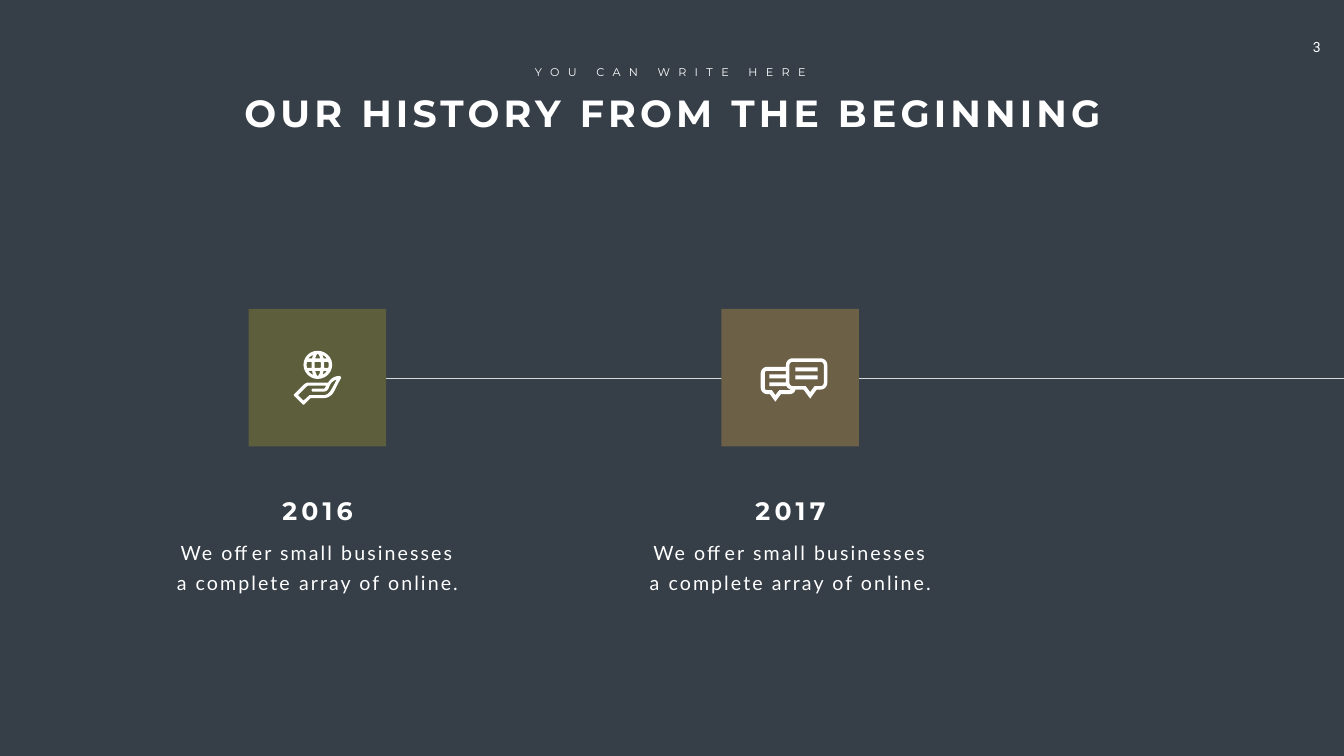
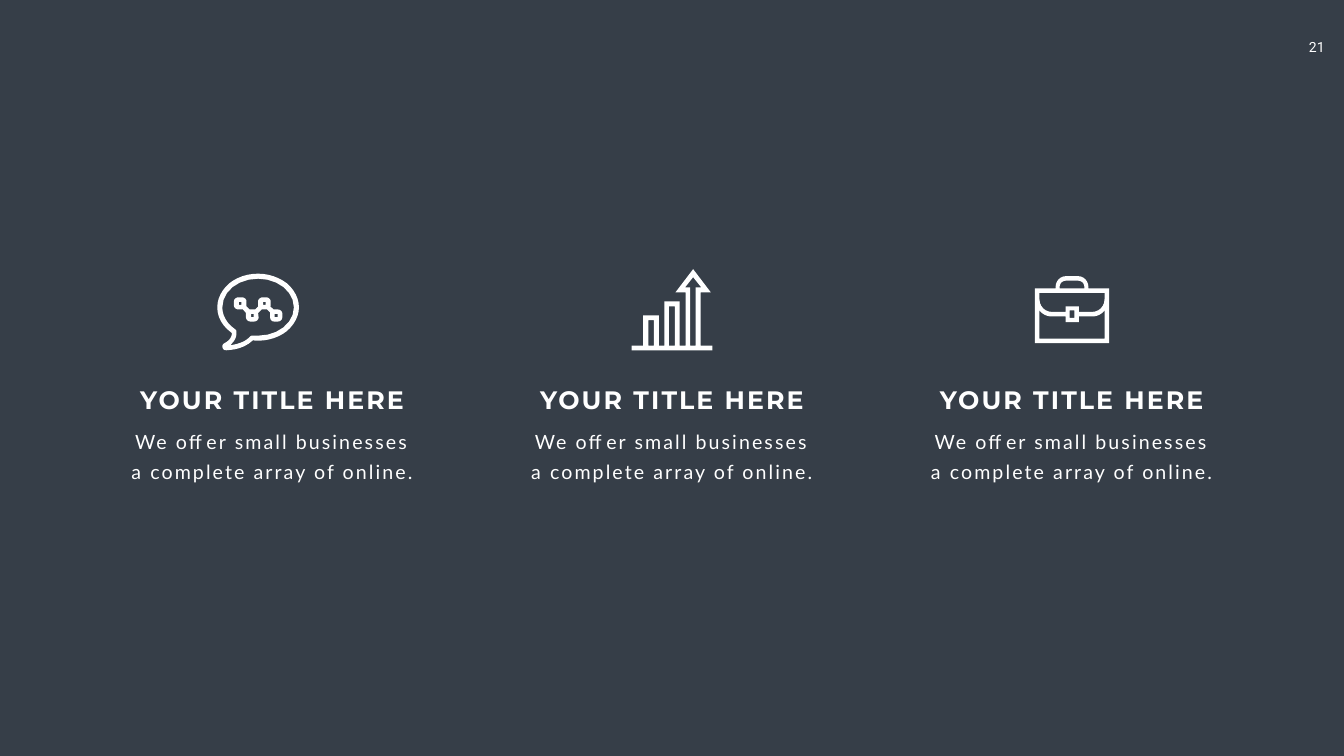
from lxml import etree
from pptx import Presentation
from pptx.dml.color import RGBColor
from pptx.enum.shapes import MSO_CONNECTOR, MSO_SHAPE
from pptx.enum.text import PP_ALIGN
from pptx.oxml.ns import qn
from pptx.util import Inches, Pt

RECT = MSO_SHAPE.RECTANGLE
STRAIGHT = MSO_CONNECTOR.STRAIGHT
CENTER = PP_ALIGN.CENTER

SLATE = RGBColor(0x36, 0x3E, 0x48)
WHITE = RGBColor(0xFF, 0xFF, 0xFF)
GREY = RGBColor(0xD9, 0xD9, 0xD9)
BROWN = RGBColor(0x6C, 0x60, 0x46)
OLIVE = RGBColor(0x5D, 0x5E, 0x3C)

BODY = "We offer small businesses a complete array of online."
CURVE_STEPS = 6

# Icon outlines in hundredths of an inch; "/" parts contours and
# "C" starts a cubic curve: two control points and an end point.
CHAT = """
1634,760 C 1634,763 1631,766 1628,766 1616,766 1607,778 1598,766 1572,766
C 1569,766 1566,763 1566,760 1566,724 C 1566,721 1569,718 1572,718 1628,718
C 1631,718 1634,721 1634,724 /
1546,774 1538,784 1531,774 1521,774 C 1519,774 1517,772 1517,770 1517,740
C 1517,738 1519,736 1521,736 1559,736 1559,743 1526,743 1526,751 1559,751
1559,759 1526,759 1526,766 1560,766 C 1562,770 1565,772 1569,773 1567,774 /
1628,711 1572,711 C 1565,711 1559,717 1559,724 1559,728 1521,728
C 1515,728 1509,734 1509,740 1509,770 C 1509,776 1515,782 1521,782 1527,782
1538,797 1549,782 1567,782 C 1572,782 1577,778 1578,773 1594,773 1607,791
1620,773 1628,773 C 1635,773 1641,767 1641,760 1641,724
C 1641,717 1635,711 1628,711"""
HAND = """
656,775 C 653,780 648,784 642,784 615,784 C 614,784 613,784 613,785 602,795
591,784 607,768 C 609,766 611,765 614,765 647,765 645,769
C 644,771 643,771 642,771 621,771 C 619,771 618,773 618,774
C 618,776 619,777 621,777 642,777 C 646,777 649,775 651,772 655,763
C 658,758 662,755 668,753 C 663,763 656,775 656,775 /
676,748 C 675,747 674,746 673,746 C 664,746 656,751 651,759 614,759
C 609,759 606,760 603,763 584,782 C 583,782 583,783 583,784
C 583,785 583,786 584,786 600,802 C 600,802 601,803 602,803
C 603,803 604,802 604,802 616,790 642,790 C 650,790 658,785 662,778
C 662,778 671,760 676,751 C 677,750 677,749 676,748"""
GLOBE = """
621,704 C 620,707 620,709 619,711 612,711 C 614,708 618,706 621,704 /
648,711 642,711 C 641,709 641,707 639,704 C 643,706 646,708 648,711 /
639,744 C 641,741 641,739 642,736 648,736 C 646,740 643,742 639,744 /
612,736 619,736 C 620,739 620,741 621,744 C 618,742 614,740 612,736 /
618,730 609,730 C 609,728 608,726 608,724 C 608,722 609,720 609,718 618,718 /
630,746 C 630,746 628,745 627,741 625,736 635,736 634,741
C 632,745 631,746 630,746 /
652,724 C 652,726 652,728 651,730 643,730 643,718 651,718
C 652,720 652,722 652,724 /
636,718 C 637,722 637,726 636,730 624,730 624,718 /
630,702 C 631,702 632,703 634,707 635,711 625,711 627,707
C 628,703 630,702 630,702 /
602,724 C 602,739 615,752 630,752 C 646,752 659,739 659,724
C 659,708 645,696 630,696 C 615,696 602,708 602,724"""
BUBBLE = """
512,666 C 508,666 505,666 501,666 C 499,666 498,666 496,668
C 490,674 482,679 474,681 C 469,683 463,684 457,685 C 459,683 461,680 463,678
C 467,673 469,667 469,662 469,658 C 469,656 468,654 466,653
C 450,642 441,626 441,610 C 441,578 472,553 512,553 C 551,553 583,578 583,610
C 583,641 551,666 512,666 /
569,562 C 553,550 533,543 512,543 C 490,543 470,550 455,562
C 440,575 431,592 431,610 C 431,629 441,647 459,660 C 460,661 460,661 460,662
C 460,667 456,676 445,681 C 443,682 441,685 441,687 C 441,689 442,691 443,693
C 445,694 446,695 449,695 C 465,694 485,691 502,675 C 505,676 508,676 512,676
C 533,676 554,669 569,657 C 584,644 593,627 593,610 C 593,592 584,575 569,562"""
TREND = """
551,629 545,629 545,623 551,623 / 503,629 498,629 498,623 503,623 /
474,599 479,599 479,605 474,605 / 522,599 527,599 527,605 522,605 /
551,614 543,614 536,608 537,606 537,598 C 537,594 533,590 528,590 521,590
C 516,590 512,594 512,598 512,608 506,614 495,614 489,608 489,598
C 489,594 485,590 480,590 473,590 C 468,590 464,594 464,598 464,606
C 464,610 468,614 473,614 482,614 488,621 488,630 C 488,634 492,638 497,638
504,638 C 509,638 513,634 513,630 512,621 519,614 530,614 536,620 536,630
C 536,634 539,638 544,638 551,638 C 556,638 560,634 560,630 560,622
C 560,618 556,614 551,614"""
BRIEFCASE = """
2166,619 2140,619 2140,608 2114,608 2114,619 2087,619
C 2073,619 2062,608 2062,594 2062,581 2191,581 2191,594
C 2191,608 2180,619 2166,619 /
2122,616 2131,616 2131,631 2122,631 /
2191,672 2062,672 2062,616 C 2068,624 2077,628 2087,628 2114,628 2114,639
2140,639 2140,628 2166,628 C 2176,628 2185,624 2191,616 /
2102,569 C 2102,562 2108,557 2114,557 2139,557 C 2145,557 2151,562 2151,569
2151,572 2102,572 /
2159,572 2159,569 C 2159,558 2150,548 2139,548 2114,548
C 2103,548 2094,558 2094,569 2094,572 2053,572 2053,681 2200,681 2200,572"""
GROWTH = """
1286,635 1297,635 1297,686 1286,686 / 1327,608 1339,608 1339,686 1327,686 /
1359,570 1375,550 1391,570 1380,570 1380,686 1369,686 1369,570 /
1390,686 1390,580 1410,580 1375,534 1340,580 1360,580 1360,686 1348,686
1348,598 1318,598 1318,686 1307,686 1307,626 1276,626 1276,686 1253,686
1253,695 1413,695 1413,686"""


def add_text(s, box, text, size, font="Montserrat", bold=False, spacing=0,
             inset=(0.1, 0.05, 0.1, 0.05), wrap=True, leading=None):
    """Add centred white text; spacing is the tracking in points."""
    tf = s.shapes.add_textbox(*map(Inches, box)).text_frame
    tf.word_wrap = wrap
    (tf.margin_left, tf.margin_top,
     tf.margin_right, tf.margin_bottom) = map(Inches, inset)
    p = tf.paragraphs[0]
    p.alignment = CENTER
    p.line_spacing = leading
    p.font.name, p.font.size, p.font.bold = font, Pt(size), bold
    p.font.color.rgb = WHITE
    r = p.add_run()
    r.text = text
    if spacing:
        r._r.get_or_add_rPr().set("spc", str(spacing * 100))


def add_icon(s, outline):
    """Draw the contours of an outline as one white freeform."""
    builder = None
    for contour in outline.split("/"):
        points, tokens = [], iter(contour.split())
        for token in tokens:
            count = 3 if token == "C" else 1
            pairs = [next(tokens) for _ in range(3)] if count == 3 else [token]
            ends = [tuple(Inches(int(v) / 100) for v in pair.split(",")) for pair in pairs]
            if count == 1:
                points += ends
                continue
            curve = [points[-1]] + ends
            for step in range(1, CURVE_STEPS + 1):
                t = step / CURVE_STEPS
                weights = ((1 - t) ** 3, 3 * t * (1 - t) ** 2, 3 * t * t * (1 - t), t ** 3)
                points.append(tuple(sum(w * c[axis] for w, c in zip(weights, curve))
                                    for axis in (0, 1)))
        if builder is None:
            builder = s.shapes.build_freeform(*points[0])
        else:
            builder.move_to(*points[0])
        builder.add_line_segments(points[1:], close=True)
    sp = builder.convert_to_shape()
    sp.shadow.inherit = False
    sp.fill.solid()
    sp.fill.fore_color.rgb = WHITE
    sp.line.fill.background()


prs = Presentation()
prs.slide_width, prs.slide_height = Inches(26.66), Inches(15)

# Each block: centre, heading top, heading width, heading, heading tracking
history = [(6.3, 9.77, 4.41, "2016", 6), (15.68, 9.77, 4.41, "2017", 6)]
features = [(5.4 + 7.93 * i, 7.57, 5.86, "YOUR TITLE HERE", 3) for i in range(3)]

slides = []
for number, blocks in (("3", history), ("21", features)):
    s = prs.slides.add_slide(prs.slide_layouts[6])
    slides.append(s)
    s.background.fill.solid()
    s.background.fill.fore_color.rgb = SLATE
    add_text(s, (25.69, 0.67, 1.01, 0.54), number, 20, "Roboto",
             inset=(0.2, 0.1, 0.35, 0.1))
    for center, top, width, heading, tracking in blocks:
        add_text(s, (center - 3.1, top + 0.71, 6.2, 1.38), BODY, 28, "Lato",
                 spacing=3, inset=(0.24, 0.12, 0.24, 0.12), leading=Pt(43))
        add_text(s, (center - width / 2, top, width, 0.71), heading, 36,
                 bold=True, spacing=tracking)

# Slide 1: history timeline
s = slides[0]
add_text(s, (4.61, 1.74, 17.48, 1.01), "OUR HISTORY FROM THE BEGINNING", 54,
         bold=True, spacing=6, wrap=False)
add_text(s, (10.41, 1.24, 5.78, 0.37), "YOU CAN WRITE HERE", 16, spacing=12, wrap=False)
timeline = s.shapes.add_connector(STRAIGHT, Inches(6.3), Inches(7.5),
                                  Inches(26.66), Inches(7.5))
timeline.line.color.rgb = GREY
timeline.line.width = Pt(0.5)
etree.SubElement(timeline._element.spPr, qn("a:effectLst"))

tiles = [(4.93, 6.13, 2.73, 2.73, OLIVE), (14.31, 6.13, 2.73, 2.73, BROWN)]
chat_lines = [(15.78, top, 0.44, 0.08, WHITE) for top in (7.29, 7.45)]
for *box, color in tiles + chat_lines:
    sp = s.shapes.add_shape(RECT, *map(Inches, box))
    sp.shadow.inherit = False
    sp.fill.solid()
    sp.fill.fore_color.rgb = color
    sp.line.fill.background()
for outline in (CHAT, HAND, GLOBE):
    add_icon(s, outline)

# Slide 2: three features
for outline in (BUBBLE, TREND, BRIEFCASE, GROWTH):
    add_icon(slides[1], outline)

prs.save("out.pptx")
